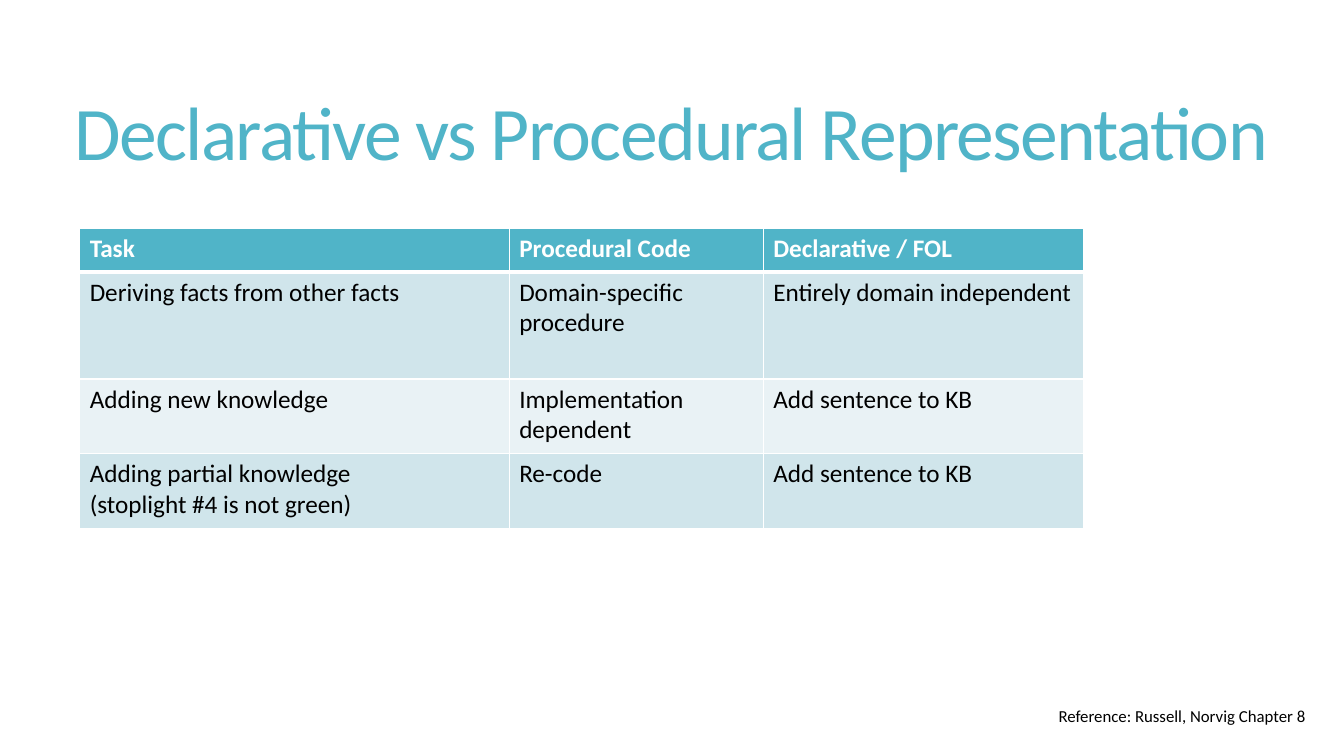
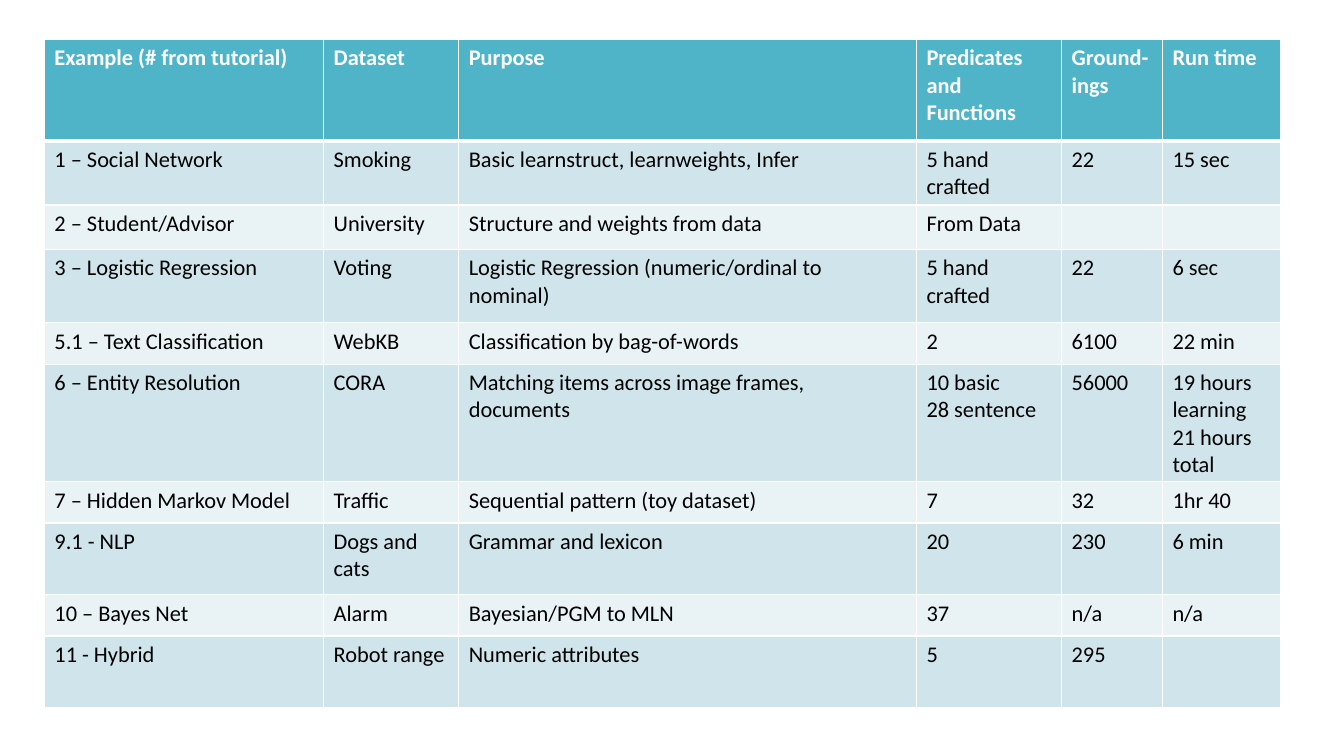
from lxml.etree import SubElement
from pptx import Presentation
from pptx.dml.color import RGBColor
from pptx.enum.text import MSO_ANCHOR, MSO_AUTO_SIZE, PP_ALIGN
from pptx.oxml.ns import qn
from pptx.util import Inches, Pt

# Content
TITLE = "Declarative vs Procedural Representation"
REFERENCE = "Reference: Russell, Norvig Chapter 8"

COMPARISON = {
    "place": (0.79, 2.27),
    "size": 18,
    "columns": (4.26, 2.52, 3.18),
    "heights": (0.43, 1.06, 0.74, 0.74),
    "rows": [
        ("Task", "Procedural Code", "Declarative / FOL"),
        ("Deriving facts from other facts", "Domain-specific procedure",
         "Entirely domain independent"),
        ("Adding new knowledge", "Implementation dependent", "Add sentence to KB"),
        ("Adding partial knowledge\n(stoplight #4 is not green)", "Re-code",
         "Add sentence to KB"),
    ],
}

EXAMPLES = {
    "place": (0.44, 0.39),
    "size": 16,
    "columns": (2.77, 1.34, 4.54, 1.44, 1, 1.17),
    "heights": (1.01, 0.44, 0.44, 0.73, 0.41, 1.01, 0.41, 0.71, 0.41, 0.71),
    "rows": [
        ("Example (# from tutorial)", "Dataset", "Purpose",
         "Predicates and Functions", "Ground- ings", "Run time"),
        ("1 – Social Network", "Smoking", "Basic learnstruct, learnweights, Infer",
         "5 hand crafted", "22", "15 sec"),
        ("2 – Student/Advisor", "University", "Structure and weights from data",
         "From Data", "", ""),
        ("3 – Logistic Regression", "Voting",
         "Logistic Regression (numeric/ordinal to nominal)",
         "5 hand crafted", "22", "6 sec"),
        ("5.1 – Text Classification", "WebKB", "Classification by bag-of-words",
         "2", "6100", "22 min"),
        ("6 – Entity Resolution", "CORA",
         "Matching items across image frames, documents",
         "10 basic\n28 sentence", "56000", "19 hours learning\n21 hours total"),
        ("7 – Hidden Markov Model", "Traffic", "Sequential pattern (toy dataset)",
         "7", "32", "1hr 40"),
        ("9.1 - NLP", "Dogs and cats", "Grammar and lexicon", "20", "230", "6 min"),
        ("10 – Bayes Net", "Alarm", "Bayesian/PGM to MLN", "37", "n/a", "n/a"),
        ("11 - Hybrid", "Robot range", "Numeric attributes", "5", "295", ""),
    ],
}

# Shared look
COLORS = {"accent": "50B4C8", "odd": "D0E5EB", "even": "E9F2F5",
          "text": "000000", "white": "FFFFFF"}
FONT = "Calibri"


def color(name):
    return RGBColor.from_string(COLORS[name])


def write(frame, text, size, ink, bold=False, paragraph_format=None):
    """Fill a text frame, one paragraph a line."""
    frame.text = text
    for paragraph in frame.paragraphs:
        for key, value in (paragraph_format or {}).items():
            setattr(paragraph, key, value)
        for run in paragraph.runs:
            for key, value in {"name": FONT, "size": Pt(size), "bold": bold}.items():
                setattr(run.font, key, value)
            run.font.color.rgb = color(ink)


def place(shape, left, top, width, height):
    bounds = {"left": left, "top": top, "width": width, "height": height}
    for key, value in bounds.items():
        setattr(shape, key, Inches(value))


def add_borders(cell, widths):
    """Draw white cell borders; widths are points by side."""
    properties = cell._tc.get_or_add_tcPr()
    for side, width in widths.items():
        line = SubElement(properties, qn(f"a:ln{side}"), w=str(Pt(width)))
        fill = SubElement(line, qn("a:solidFill"))
        SubElement(fill, qn("a:srgbClr"), val=COLORS["white"])


def add_banded_table(slide, content):
    rows, columns, heights = (content[k] for k in ("rows", "columns", "heights"))
    bounds = (*content["place"], sum(columns), sum(heights))
    table = slide.shapes.add_table(len(rows), len(columns), *map(Inches, bounds)).table
    for column, width in zip(table.columns, columns):
        column.width = Inches(width)
    for r, (row, height) in enumerate(zip(rows, heights)):
        table.rows[r].height = Inches(height)
        header = r == 0
        band = "accent" if header else ("even", "odd")[r % 2]
        borders = {"L": 1, "R": 1, "T": 3 if r == 1 else 1, "B": 3 if header else 1}
        for c, text in enumerate(row):
            cell = table.cell(r, c)
            add_borders(cell, borders)
            cell.fill.solid()
            cell.fill.fore_color.rgb = color(band)
            write(cell.text_frame, text, content["size"],
                  "white" if header else "text", header)


def add_title(slide, text):
    title = slide.shapes.title
    place(title, 0.64, 0.46, 12.23, 1.81)
    frame = title.text_frame
    write(frame, text, 54, "accent",
          paragraph_format={"alignment": PP_ALIGN.LEFT, "line_spacing": 0.85})
    frame_format = {"word_wrap": True, "auto_size": MSO_AUTO_SIZE.NONE,
                    "vertical_anchor": MSO_ANCHOR.MIDDLE}
    for key, value in frame_format.items():
        setattr(frame, key, value)
    # Tight letter spacing, in hundredths of a point
    frame.paragraphs[0].runs[0].font._element.set("spc", "-120")


def add_reference(slide, text):
    bounds = map(Inches, (10.4, 6.95, 2.79, 0.3))
    frame = slide.shapes.add_textbox(*bounds).text_frame
    frame.word_wrap = True
    frame.auto_size = MSO_AUTO_SIZE.SHAPE_TO_FIT_TEXT
    write(frame, text, 12, "text")


def main():
    deck = Presentation()
    deck.slide_width, deck.slide_height = Inches(13.33), Inches(7.5)
    title_only, blank = deck.slide_layouts[5], deck.slide_layouts[6]

    # Comparison of representations
    comparison = deck.slides.add_slide(title_only)
    add_title(comparison, TITLE)
    add_banded_table(comparison, COMPARISON)
    add_reference(comparison, REFERENCE)

    # Tutorial examples
    add_banded_table(deck.slides.add_slide(blank), EXAMPLES)

    deck.save("out.pptx")


if __name__ == "__main__":
    main()
